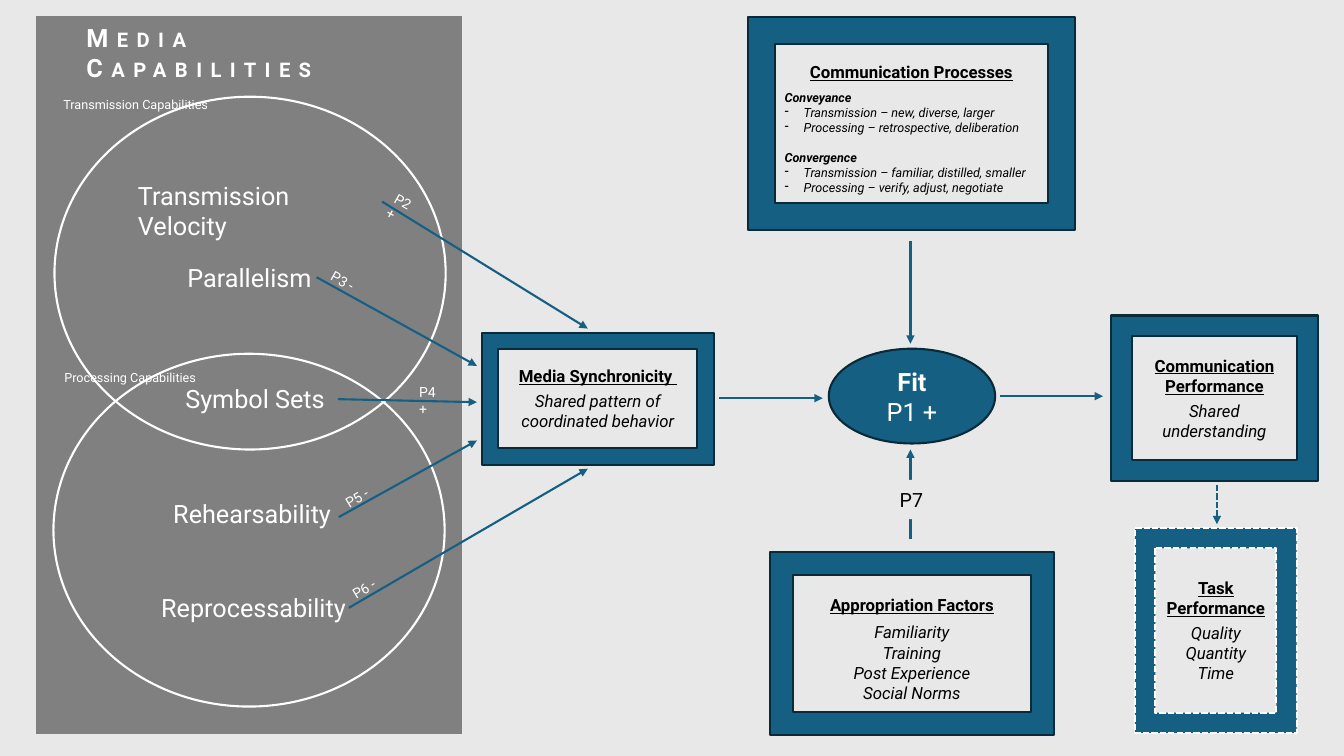
"""Builds the media synchronicity model slide."""
from lxml import etree
from pptx import Presentation
from pptx import util as u
from pptx.dml.color import RGBColor
from pptx.enum import dml, shapes, text
from pptx.oxml import ns

BLUE, NAVY, WHITE, BLACK, GRAY, PALE = "156082", "092A39", "FFFFFF", "000000", "808080", "E8E8E8"
SHAPE = shapes.MSO_SHAPE
CENTER = text.PP_ALIGN.CENTER


def rgb(c):
    return RGBColor.from_string(c)


def sub(parent, tag, **attrs):
    return etree.SubElement(parent, ns.qn(tag), attrs)


class Canvas:
    """Holds the style and the current slide."""

    def __init__(self, prs, font="Roboto", width=1.5):
        self.font, self.width = font, u.Pt(width)
        self.s = prs.slides.add_slide(prs.slide_layouts[6])
        fill = self.s.background.fill
        fill.solid()
        fill.fore_color.rgb = rgb(PALE)

    def stroke(self, ln, c, dash=False):
        ln.color.rgb = rgb(c)
        ln.width = self.width
        if dash:
            ln.dash_style = dml.MSO_LINE.SQUARE_DOT

    def run(self, p, t, size, c, b=False, i=False, under=False):
        r = p.add_run()
        r.text = t
        f = r.font
        f.name, f.size, f.bold, f.italic, f.underline = self.font, u.Pt(size), b, i, under
        f.color.rgb = rgb(c)
        return r

    def shape(self, kind, box, fill=None, line=None, dash=False):
        sp = self.s.shapes.add_shape(kind, *map(u.Inches, box))
        sp.shadow.inherit = False
        if fill:
            sp.fill.solid()
            sp.fill.fore_color.rgb = rgb(fill)
        else:
            sp.fill.background()
        if line:
            self.stroke(sp.line, line, dash)
        else:
            sp.line.fill.background()
        tf = sp.text_frame
        tf.word_wrap = True
        tf.vertical_anchor = text.MSO_ANCHOR.MIDDLE
        return sp

    def para(self, tf, t, size, c, align=CENTER, before=0, spacing=None, bullet=False, **style):
        p = tf.paragraphs[0]
        if p.runs:
            p = tf.add_paragraph()
        p.alignment = align
        if before:
            p.space_before = u.Pt(before)
        if spacing:
            p.line_spacing = spacing
        if bullet:
            pPr = p._p.get_or_add_pPr()
            pPr.set("marL", str(u.Inches(0.19)))
            pPr.set("indent", str(-u.Inches(0.19)))
            sub(pPr, "a:buChar", char="-")
        self.run(p, t, size, c, **style)

    def frame(self, box, title, lines=(), gap=3.5, spacing=None, line=NAVY, dash=False):
        tf = self.shape(SHAPE.FRAME, box, BLUE, line, dash).text_frame
        self.para(tf, title, 12, BLACK, spacing=spacing, b=True, under=True)
        for n, t in enumerate(lines):
            self.para(tf, t, 12, BLACK, before=0 if n else gap, i=True)
        return tf

    def label(self, box, t, size, rot=0, b=False):
        sp = self.s.shapes.add_textbox(*map(u.Inches, box))
        sp.rotation = rot
        tf = sp.text_frame
        tf.word_wrap = True
        tf.auto_size = text.MSO_AUTO_SIZE.SHAPE_TO_FIT_TEXT
        return self.run(tf.paragraphs[0], t, size, WHITE, b=b)

    def arrow(self, x1, y1, x2, y2, dash=False):
        cx = self.s.shapes.add_connector(shapes.MSO_CONNECTOR.STRAIGHT, *map(u.Inches, (x1, y1, x2, y2)))
        self.stroke(cx.line, BLUE, dash)
        sub(cx.line._get_or_add_ln(), "a:tailEnd", type="triangle")
        sub(cx._element.spPr, "a:effectLst")


def capabilities(cv):
    """Draws the gray panel with its two circles and their labels."""
    cv.shape(SHAPE.RECTANGLE, (0.35, 0.15, 4.24, 7.14), GRAY, PALE)
    for x, y in ((0.54, 0.96), (0.53, 3.51)):
        cv.shape(SHAPE.OVAL, (x, y, 3.88, 3.5), line=WHITE)
    rPr = cv.label((0.76, 0.17, 3.44, 0.4), "Media Capabilities", 18, b=True).font._element
    rPr.set("cap", "small")
    rPr.set("spc", "600")
    cv.label((0.53, 0.91, 3.89, 3.5), "Transmission Capabilities", 9)
    cv.label((0.54, 3.62, 3.86, 3.5), "Processing Capabilities", 9)
    for x, y, w, t in ((1.27, 1.74, 2.55, "Transmission Velocity"), (1.76, 2.55, 1.48, "Parallelism"),
                       (1.74, 3.75, 1.61, "Symbol Sets"), (1.62, 4.89, 1.84, "Rehearsability"),
                       (1.5, 5.83, 2.09, "Reprocessability")):
        cv.label((x, y, w, 0.4), t, 18)


def propositions(cv):
    """Draws the arrows into media synchronicity and their labels."""
    for ends in ((3.79, 2, 5.83, 3.26), (3.14, 2.75, 4.73, 3.63), (3.35, 3.96, 4.73, 3.99),
                 (3.36, 5.13, 4.73, 4.37), (3.46, 6.03, 5.83, 4.65)):
        cv.arrow(*ends)
    for x, y, t, rot in ((3.81, 1.89, "P2 +", 29.3), (3.18, 2.66, "P3 -", 29.3), (4.06, 3.76, "P4 +", 0),
                         (3.32, 4.8, "P5 -", 329.1), (3.39, 5.7, "P6 -", 329.1)):
        cv.label((x, y, 0.46, 0.27), t, 10, rot)


def processes(cv):
    """Draws the communication processes frame."""
    tf = cv.frame((7.42, 0.17, 3.24, 2.11), "Communication Processes", spacing=1.5)
    left = text.PP_ALIGN.LEFT
    groups = (("Conveyance", 0, 1.5, ("Transmission – new, diverse, larger",
                                      "Processing – retrospective, deliberation")),
              ("Convergence", 10.5, None, ("Transmission – familiar, distilled, smaller",
                                           "Processing – verify, adjust, negotiate")))
    for head, before, spacing, items in groups:
        cv.para(tf, head, 9, BLACK, left, before, spacing, b=True, i=True)
        for t in items:
            cv.para(tf, t, 9, BLACK, left, bullet=True, i=True)


def main():
    prs = Presentation()
    prs.slide_width, prs.slide_height = u.Inches(13.33), u.Inches(7.5)
    cv = Canvas(prs)
    cv.arrow(9.03, 5.35, 9.03, 4.46)
    capabilities(cv)
    cv.frame((4.78, 3.3, 2.3, 1.31), "Media Synchronicity ", ["Shared pattern of coordinated behavior"])
    propositions(cv)
    processes(cv)
    cv.frame((11.02, 3.13, 2.05, 1.64), "Communication Performance", ["Shared understanding"])
    cv.frame((7.64, 5.48, 2.81, 1.81), "Appropriation Factors",
             ["Familiarity", "Training", "Post Experience", "Social Norms"], gap=5.3, spacing=1.5)
    tf = cv.shape(SHAPE.OVAL, (8.22, 3.46, 1.65, 0.94), BLUE, NAVY).text_frame
    cv.para(tf, "Fit", 18, WHITE, b=True)
    cv.para(tf, "P1 +", 18, WHITE)
    cv.arrow(7.13, 3.95, 8.16, 3.95)
    cv.arrow(9.03, 2.39, 9.03, 3.41)
    cv.arrow(9.92, 3.93, 10.94, 3.93)
    p7 = cv.shape(SHAPE.RECTANGLE, (8.78, 4.76, 0.52, 0.39), PALE)
    cv.para(p7.text_frame, "P7", 14, BLACK)
    cv.frame((11.26, 5.24, 1.6, 2.03), "Task Performance", ["Quality", "Quantity", "Time"],
             line=WHITE, dash=True)
    cv.arrow(12.07, 4.81, 12.07, 5.2, dash=True)
    prs.save("out.pptx")


if __name__ == "__main__":
    main()
